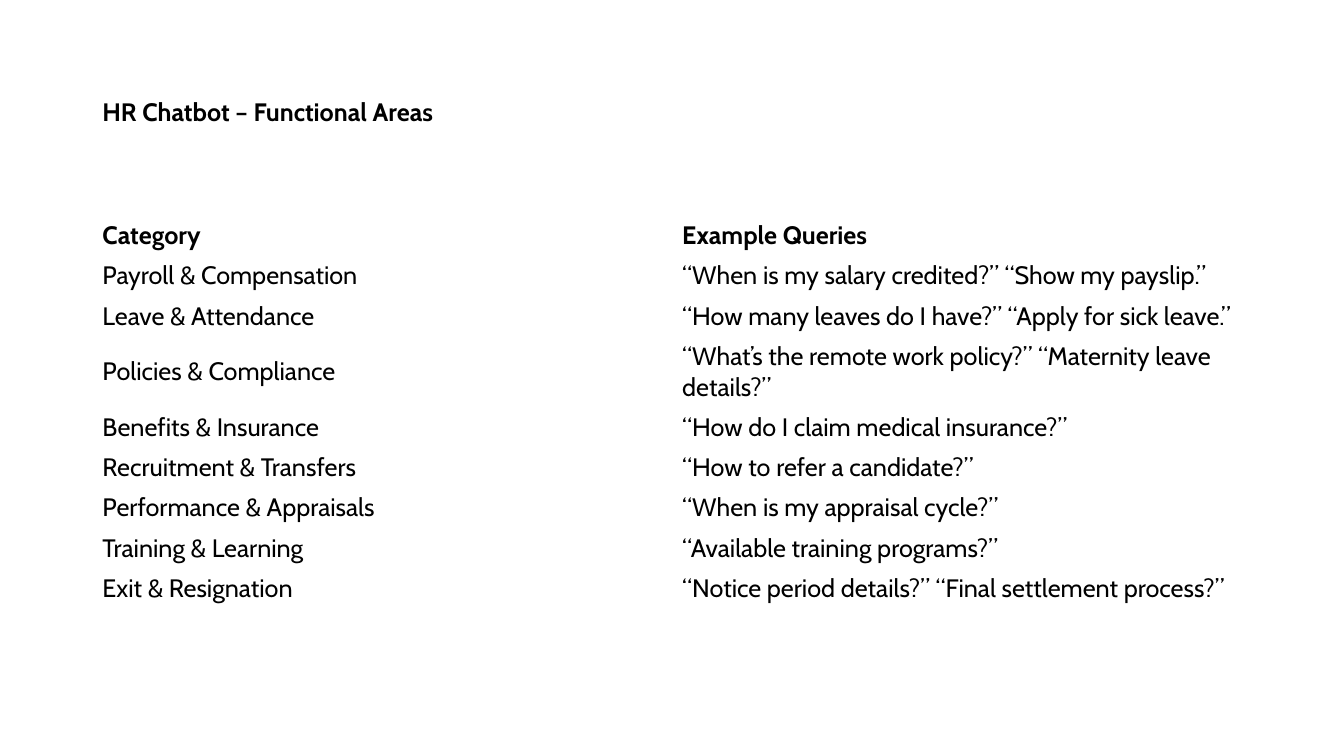
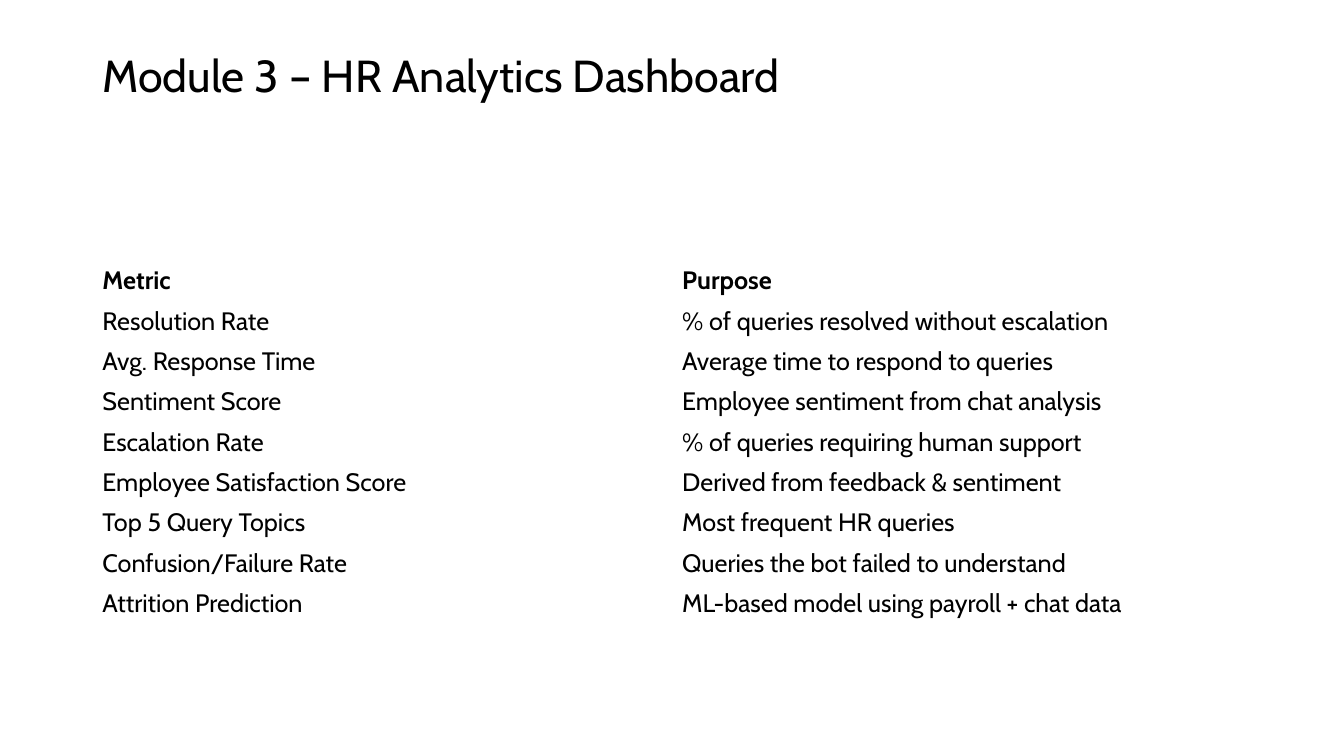
from dataclasses import dataclass

from pptx import Presentation
from pptx.dml.color import RGBColor
from pptx.enum.text import MSO_ANCHOR
from pptx.util import Inches, Pt


@dataclass(frozen=True)
class Theme:
    font: str = "Cabin"
    text: RGBColor = RGBColor(0x00, 0x00, 0x00)
    body_size: Pt = Pt(18)
    title_size: Pt = Pt(32)


THEME = Theme()

presentation = Presentation()
presentation.slide_width = Inches(13.33)
presentation.slide_height = Inches(7.5)

# Square grid of 160 columns by 90 rows
UNIT = presentation.slide_height / 90
LEFT = int(11 * UNIT)
CONTENT_WIDTH = int(138 * UNIT)
TITLE_TOP = int(4.8 * UNIT)
ROW_HEIGHT = int(4.8 * UNIT)


def style_paragraph(paragraph, text, size, bold):
    paragraph.text = text
    paragraph.font.name = THEME.font
    paragraph.font.size = size
    paragraph.font.bold = bold
    paragraph.font.color.rgb = THEME.text


functional_areas = [
    ("Category", "Example Queries"),
    ("Payroll & Compensation", "“When is my salary credited?” “Show my payslip.”"),
    ("Leave & Attendance", "“How many leaves do I have?” “Apply for sick leave.”"),
    ("Policies & Compliance", "“What’s the remote work policy?” “Maternity leave details?”"),
    ("Benefits & Insurance", "“How do I claim medical insurance?”"),
    ("Recruitment & Transfers", "“How to refer a candidate?”"),
    ("Performance & Appraisals", "“When is my appraisal cycle?”"),
    ("Training & Learning", "“Available training programs?”"),
    ("Exit & Resignation", "“Notice period details?” “Final settlement process?”"),
]

dashboard_metrics = [
    ("Metric", "Purpose"),
    ("Resolution Rate", "% of queries resolved without escalation"),
    ("Avg. Response Time", "Average time to respond to queries"),
    ("Sentiment Score", "Employee sentiment from chat analysis"),
    ("Escalation Rate", "% of queries requiring human support"),
    ("Employee Satisfaction Score", "Derived from feedback & sentiment"),
    ("Top 5 Query Topics", "Most frequent HR queries"),
    ("Confusion/Failure Rate", "Queries the bot failed to understand"),
    ("Attrition Prediction", "ML-based model using payroll + chat data"),
]

# Title, size, bold, title height and table top in grid rows, table content
pages = [
    ("HR Chatbot – Functional Areas", THEME.body_size, True, 17.4, 25.6, functional_areas),
    ("Module 3 – HR Analytics Dashboard", THEME.title_size, False, 8.9, 31, dashboard_metrics),
]

blank_layout = presentation.slide_layouts[6]
for title, title_size, title_bold, title_rows, table_row, rows in pages:
    slide = presentation.slides.add_slide(blank_layout)

    title_box = slide.shapes.add_textbox(LEFT, TITLE_TOP, CONTENT_WIDTH, int(title_rows * UNIT))
    title_frame = title_box.text_frame
    title_frame.word_wrap = True
    title_frame.vertical_anchor = MSO_ANCHOR.MIDDLE
    title_paragraph = title_frame.paragraphs[0]
    title_paragraph.line_spacing = 0.9
    style_paragraph(title_paragraph, title, title_size, title_bold)

    table = slide.shapes.add_table(
        len(rows), len(rows[0]), LEFT, int(table_row * UNIT),
        CONTENT_WIDTH, ROW_HEIGHT * len(rows),
    ).table
    table.horz_banding = False
    for row_index, row in enumerate(rows):
        for column_index, text in enumerate(row):
            cell = table.cell(row_index, column_index)
            cell.fill.background()
            cell.vertical_anchor = MSO_ANCHOR.MIDDLE
            style_paragraph(cell.text_frame.paragraphs[0], text, THEME.body_size, row_index == 0)

presentation.save("out.pptx")
